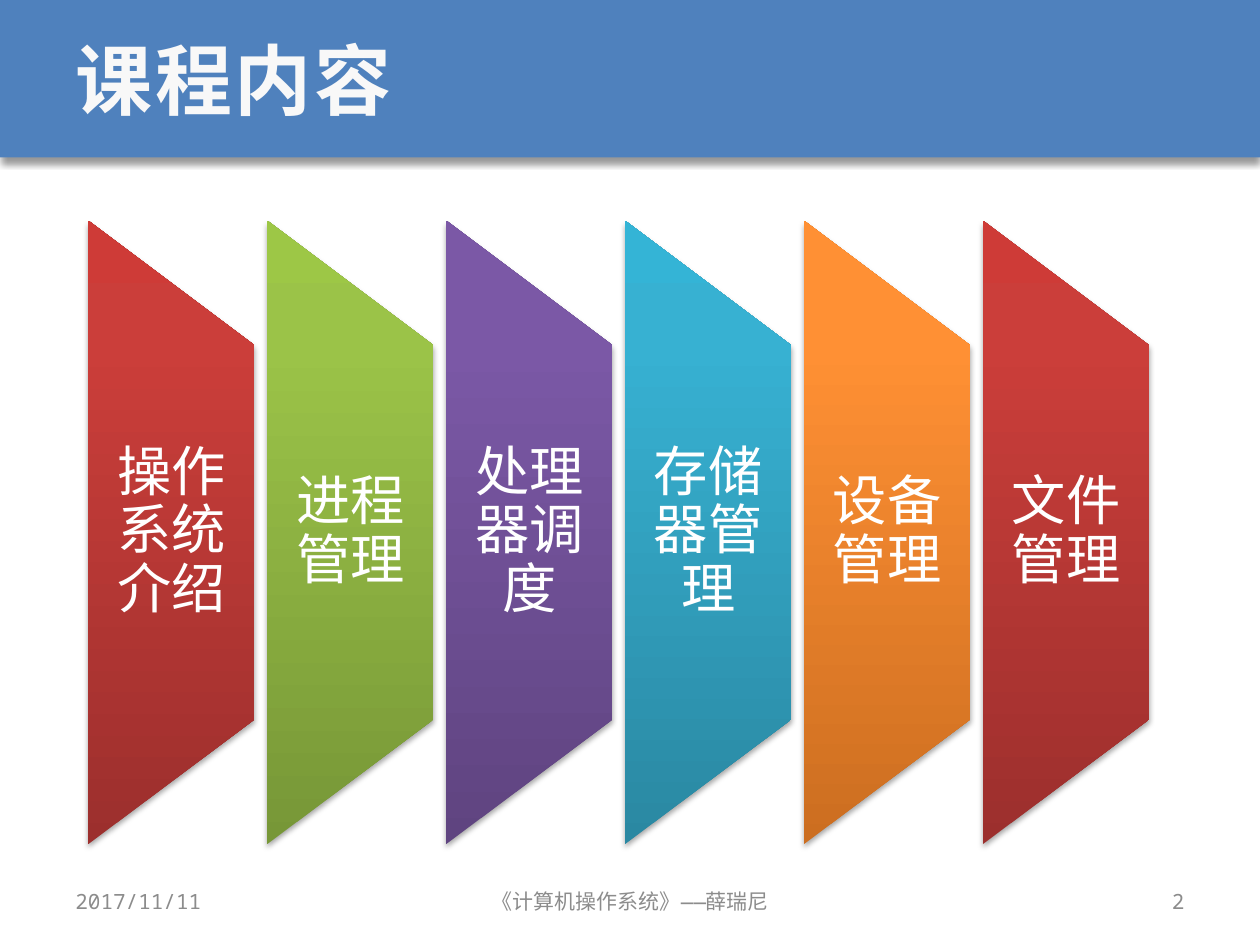
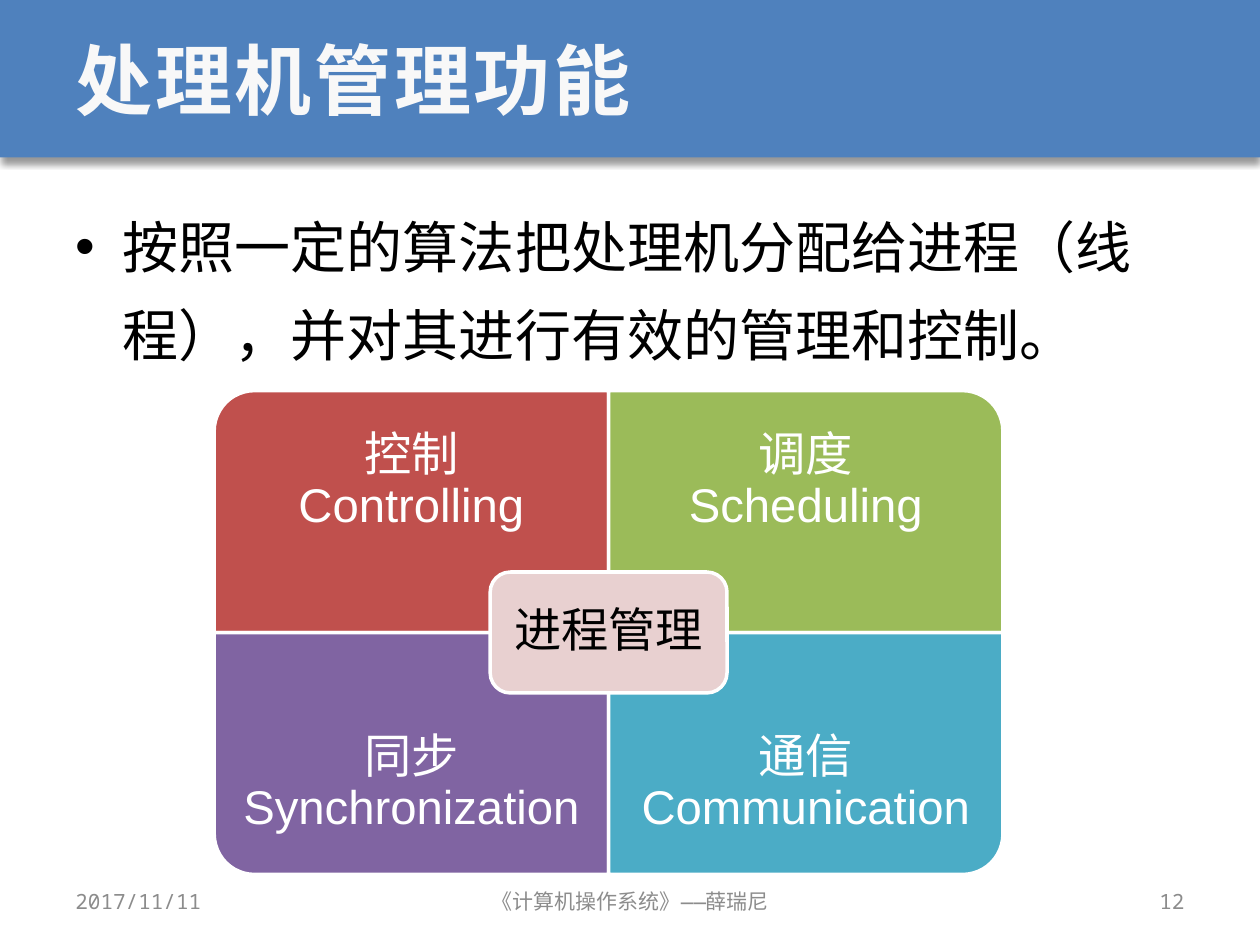
from dataclasses import dataclass

from pptx import Presentation
from pptx.dml.color import RGBColor
from pptx.enum.shapes import MSO_SHAPE
from pptx.enum.text import MSO_ANCHOR, PP_ALIGN
from pptx.oxml import parse_xml
from pptx.oxml.ns import nsdecls, qn
from pptx.shapes.autoshape import Shape
from pptx.slide import Slide
from pptx.text.text import TextFrame
from pptx.util import Pt

PX = 9144  # EMU per px, 100 px to the inch
RECT = MSO_SHAPE.RECTANGLE
BLADE = MSO_SHAPE.FLOWCHART_MANUAL_OPERATION
CORNER = MSO_SHAPE.ROUND_1_RECTANGLE
ROUND = MSO_SHAPE.ROUNDED_RECTANGLE
LEFT, MID, RIGHT = PP_ALIGN.LEFT, PP_ALIGN.CENTER, PP_ALIGN.RIGHT
CENTRE, TOP = MSO_ANCHOR.MIDDLE, MSO_ANCHOR.TOP

COLORS = {
    "band": "4F81BD", "title": "F8F8F8", "foot": "8C8C8C",
    "white": "FFFFFF", "black": "000000", "hub": "E8D0D0",
    "red": "C0504D", "green": "9BBB59", "violet": "8064A2", "blue": "4BACC6",
}
# Gradient stops at 0, 80 and 100 percent
GRADS = {
    "red": ("9C2F2D", "CB3E3A", "CE3B37"),
    "green": ("779737", "9BC348", "9DC746"),
    "violet": ("5F4480", "7B58A6", "7C57A8"),
    "blue": ("2A88A2", "37B1D2", "34B4D6"),
    "orange": ("CC6E20", "FF9034", "FF9136"),
}


@dataclass(frozen=True)
class Box:
    x: int
    y: int
    w: int
    h: int

    def emu(self) -> tuple[int, int, int, int]:
        return self.x * PX, self.y * PX, self.w * PX, self.h * PX


@dataclass(frozen=True)
class Style:
    size: int
    color: str
    font: str = "Noto Sans Mono"
    align: PP_ALIGN = LEFT
    anchor: MSO_ANCHOR = CENTRE
    line: float = 1.0
    bold: bool = False
    space: int = 0


@dataclass(frozen=True)
class Part:
    text: str
    color: str
    turn: int = 0


@dataclass(frozen=True)
class Foot:
    box: Box
    align: PP_ALIGN
    text: str


HEAD = Style(44, "title", bold=True, space=150)
LIST = Style(32, "black", anchor=TOP, line=1.3)
BLADE_TEXT = Style(31, "white", "Arial", MID, line=0.9)
PART_TEXT = Style(27, "white", "Arial", MID, line=0.9)
HUB_TEXT = Style(27, "black", "Arial", MID, line=0.9)

BAND = Box(0, 0, 1000, 125)
HEAD_BOX = Box(50, 0, 900, 125)
FEET = [
    Foot(Box(50, 695, 233, 40), LEFT, "2017/11/11"),
    Foot(Box(342, 695, 317, 40), MID, "《计算机操作系统》——薛瑞尼"),
    Foot(Box(717, 695, 233, 40), RIGHT, "{page}"),
]
TOPICS = [
    Part("操作系统介绍", "red"), Part("进程管理", "green"),
    Part("处理器调度", "violet"), Part("存储器管理", "blue"),
    Part("设备管理", "orange"), Part("文件管理", "red"),
]
QUADS = [
    Part("控制\vControlling", "red", 270), Part("调度\vScheduling", "green"),
    Part("同步\vSynchronization", "violet", 180),
    Part("通信\vCommunication", "blue", 90),
]


def rgb(name: str) -> RGBColor:
    return RGBColor.from_string(COLORS[name])


# Text
def write(frame: TextFrame, text: str, style: Style) -> None:
    frame.text = text
    frame.word_wrap = True
    frame.vertical_anchor = style.anchor
    para = frame.paragraphs[0]
    para.alignment = style.align
    para.line_spacing = style.line
    for run in para.runs:
        font = run.font
        font.size = Pt(style.size)
        font.bold = style.bold
        font.color.rgb = rgb(style.color)
        font.name = style.font
        props = font._element
        props.append(parse_xml(f'<a:ea {nsdecls("a")} typeface="{style.font}"/>'))
        if style.space:
            props.set("spc", str(style.space))


def label(slide: Slide, box: Box, text: str, style: Style,
          side: int = 10, edge: int = 5) -> None:
    frame = slide.shapes.add_textbox(*box.emu()).text_frame
    frame.margin_left = frame.margin_right = side * PX
    frame.margin_top = frame.margin_bottom = edge * PX
    write(frame, text, style)


# Shapes
def draw(slide: Slide, kind: MSO_SHAPE, box: Box, turn: int = 0) -> Shape:
    """Draw a shape that fills the box after its turn."""
    x, y, w, h = box.emu()
    if turn % 180:
        x, y, w, h = x + (w - h) // 2, y + (h - w) // 2, h, w
    shape = slide.shapes.add_shape(kind, x, y, w, h)
    shape.rotation = turn
    shape.shadow.inherit = False
    shape.line.fill.background()
    return shape


def flat(shape: Shape, color: str, rim: bool = True) -> None:
    shape.fill.solid()
    shape.fill.fore_color.rgb = rgb(color)
    if rim:
        shape.line.color.rgb = rgb("white")
        shape.line.width = Pt(2)


def shade(shape: Shape, color: str) -> None:
    stops = "".join(
        f'<a:gs pos="{pos}000"><a:srgbClr val="{tone}"/></a:gs>'
        for pos, tone in zip((0, 80, 100), GRADS[color]))
    shape.fill.gradient()
    props = shape._element.spPr
    props.replace(props.find(qn("a:gradFill")), parse_xml(
        f'<a:gradFill {nsdecls("a")} rotWithShape="0"><a:gsLst>{stops}</a:gsLst>'
        '<a:lin ang="16200000" scaled="0"/></a:gradFill>'))


def cast(shape: Shape, alpha: int, blur: float, dist: float) -> None:
    shape._element.spPr.find(qn("a:effectLst")).append(parse_xml(
        f'<a:outerShdw {nsdecls("a")} blurRad="{Pt(blur)}" dist="{Pt(dist)}" '
        'dir="5400000" algn="ctr" rotWithShape="0"><a:srgbClr val="000000">'
        f'<a:alpha val="{alpha}000"/></a:srgbClr></a:outerShdw>'))


# Shared frame of a slide
def add_slide(deck: Presentation, layout: int, title: str, page: int) -> Slide:
    slide = deck.slides.add_slide(deck.slide_layouts[layout])
    head = slide.shapes.title
    head.left, head.top, head.width, head.height = HEAD_BOX.emu()
    write(head.text_frame, title, HEAD)
    for foot in FEET:
        label(slide, foot.box, foot.text.format(page=page),
              Style(12, "foot", align=foot.align))
    return slide


def add_band(deck: Presentation, slide: Slide) -> None:
    """Draw the title band and move it behind all slides, to the master."""
    band = draw(slide, RECT, BAND)
    flat(band, "band", rim=False)
    cast(band, 40, 4, 3)
    deck.slide_master.shapes._spTree.insert(2, band._element)


# Slide bodies
def add_topics(slide: Slide) -> None:
    for i, topic in enumerate(TOPICS):
        x = 70 + 142 * i
        blade = draw(slide, BLADE, Box(x, 175, 132, 495), 270)
        shade(blade, topic.color)
        cast(blade, 35, 3.1, 1.8)
        label(slide, Box(x, 274, 132, 297), topic.text, BLADE_TEXT, 22, 0)


def add_duties(slide: Slide) -> None:
    body = slide.placeholders[1]
    body.left, body.top, body.width, body.height = Box(50, 148, 900, 533).emu()
    write(body.text_frame,
          "按照一定的算法把处理机分配给进程（线程），并对其进行有效的管理和控制。", LIST)
    wide, high = 313, 192
    for i, quad in enumerate(QUADS):
        row, col = divmod(i, 2)
        x, y = 170 + wide * col, 310 + high * row
        flat(draw(slide, CORNER, Box(x, y, wide, high), quad.turn), quad.color)
        label(slide, Box(x, y + 48 * row, wide, 144), quad.text, PART_TEXT, 21, 21)
    flat(draw(slide, ROUND, Box(389, 454, 188, 96)), "hub")
    label(slide, Box(394, 458, 178, 87), "进程管理", HUB_TEXT, 11, 11)


def main() -> None:
    deck = Presentation()
    deck.slide_width, deck.slide_height = 1000 * PX, 750 * PX
    topics = add_slide(deck, 5, "课程内容", 2)
    add_band(deck, topics)
    add_topics(topics)
    add_duties(add_slide(deck, 1, "处理机管理功能", 12))
    deck.save("out.pptx")


if __name__ == "__main__":
    main()
